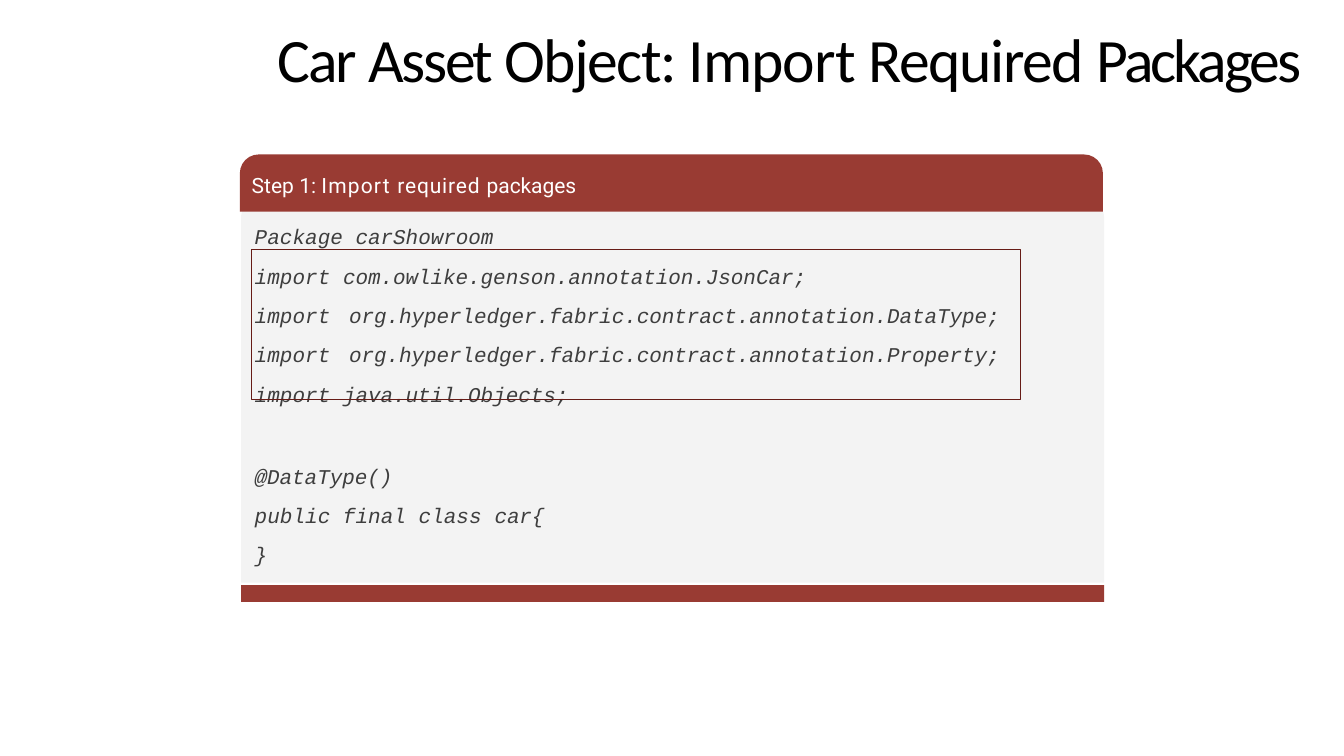
from pptx import Presentation
from pptx.dml.color import RGBColor
from pptx.enum.shapes import MSO_SHAPE as Shape
from pptx.enum.text import MSO_ANCHOR as Anchor, PP_ALIGN as Align
from pptx.util import Cm, Pt

COLORS = {
    "brick": "993B33", "panel": "F3F3F3", "outline": "661B16",
    "title": "000000", "step": "FFFFFF", "code": "3E3E3E",
}
FORMATS = {
    "title": {"name": "Calibri", "size": Pt(58.7)},
    "step": {"name": "Roboto", "size": Pt(20)},
    "code": {"name": "Courier New", "size": Pt(20), "italic": True},
}

TITLE = [("Car ", -2), ("Asset ", -2.4), ("Object: ", -1.6),
         ("Import ", -0.9), ("Required ", -1.4), ("Packages", -2.8)]
STEP = [("Step 1: ", 0), ("Import ", 1.1), ("required ", 0.8), ("packages", -0.1)]
CONTRACT = "org.hyperledger.fabric.contract.annotation."
CODE = [
    (11.2, [("Package ", 0), ("carShowroom", -0.1)]),
    (0, [("import ", 0), ("com.owlike.genson.annotation.JsonCar;", -0.1)]),
    (0, [("import ", 0), (CONTRACT + "DataType; ", -0.1),
         ("import ", 0), (CONTRACT + "Property; ", -0.1),
         ("import ", 0), ("java.util.Objects;", -0.1)]),
    (40.5, [("@DataType()", -0.1)]),
    (0, [("public final class ", 0), ("car{", -0.2)]),
    (0, [("}", -0.5)]),
]

PANEL_LEFT, PANEL_WIDTH = 8.1, 29
BLOCKS = [
    (Shape.ROUND_2_SAME_RECTANGLE, (PANEL_LEFT, 6.55, PANEL_WIDTH, 13.03), "panel", 0.06),
    (Shape.ROUND_2_SAME_RECTANGLE, (PANEL_LEFT - 0.04, 5.19, PANEL_WIDTH, 1.92), "brick", 0.33),
    (Shape.RECTANGLE, (PANEL_LEFT, 19.66, PANEL_WIDTH, 0.56), "brick", None),
]
IMPORT_FRAME = (8.46, 8.37, 25.83, 5.06)

deck = Presentation()
deck.slide_width, deck.slide_height = Cm(45.16), Cm(25.4)
slide = deck.slides.add_slide(deck.slide_layouts[6])


def color(name):
    return RGBColor.from_string(COLORS[name])


def add_block(kind, box):
    block = slide.shapes.add_shape(kind, *map(Cm, box))
    block.shadow.inherit = False
    return block


def add_frame(box, **settings):
    frame = slide.shapes.add_textbox(*map(Cm, box)).text_frame
    defaults = {"word_wrap": True, "margin_left": 0, "margin_right": 0,
                "margin_top": 0, "margin_bottom": 0}
    for key, value in {**defaults, **settings}.items():
        setattr(frame, key, value)
    return frame


def write(paragraph, pieces, style, indent=0, **settings):
    for key, value in settings.items():
        setattr(paragraph, key, value)
    if indent:
        paragraph._p.get_or_add_pPr().set("marL", str(Cm(indent)))
    for words, spacing in pieces:
        run = paragraph.add_run()
        run.text = words
        for key, value in FORMATS[style].items():
            setattr(run.font, key, value)
        run.font.color.rgb = color(style)
        run._r.get_or_add_rPr().set("spc", str(round(spacing * 100)))


title = add_frame((0, 0.43, 45.16, 2.77), vertical_anchor=Anchor.MIDDLE, margin_top=Cm(0.25))
write(title.paragraphs[0], TITLE, "title", indent=9.32, space_before=Pt(1))

for kind, box, fill, rounding in BLOCKS:
    block = add_block(kind, box)
    block.fill.solid()
    block.fill.fore_color.rgb = color(fill)
    block.line.fill.background()
    if rounding:
        block.adjustments[0] = rounding

listing = add_frame((8.43, 5.77, 25.15, 13.16), margin_top=Cm(0.03))
write(listing.paragraphs[0], STEP, "step", indent=0.03, space_before=Pt(1))
for gap, pieces in CODE:
    write(listing.add_paragraph(), pieces, "code", indent=0.13,
          alignment=Align.JUSTIFY, space_before=Pt(gap), line_spacing=Pt(37.5))

import_frame = add_block(Shape.RECTANGLE, IMPORT_FRAME)
import_frame.fill.background()
import_frame.line.color.rgb = color("outline")
import_frame.line.width = Pt(0.75)

deck.save("out.pptx")
